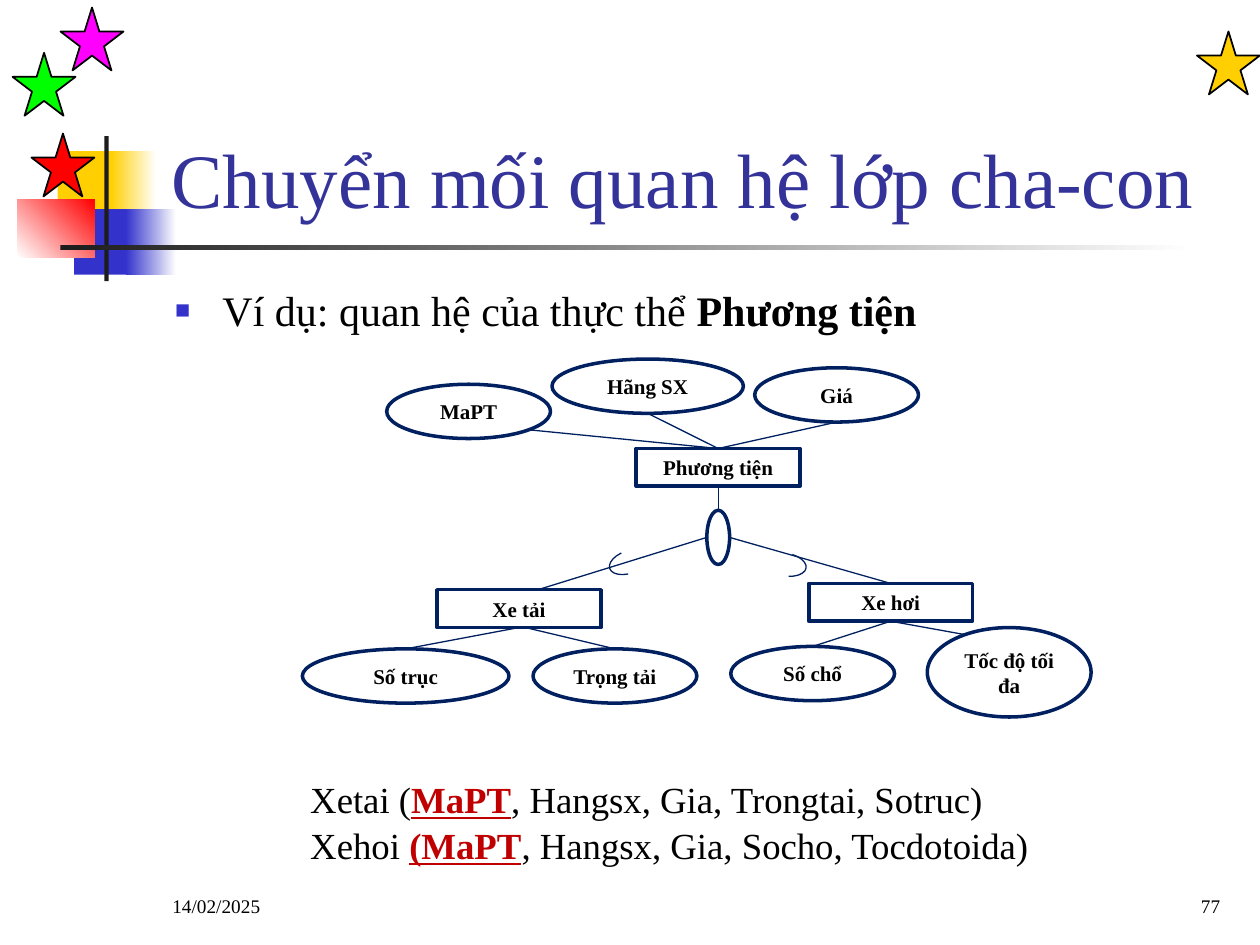
import pptx
import pptx.util
import pptx.dml.color
import pptx.enum.shapes
import pptx.enum.text
import pptx.oxml.ns
import lxml.etree

Pt = pptx.util.Pt
RGB = pptx.dml.color.RGBColor
SHAPE = pptx.enum.shapes.MSO_SHAPE
ANCHOR = pptx.enum.text.MSO_ANCHOR
ALIGN = pptx.enum.text.PP_ALIGN
FIT = pptx.enum.text.MSO_AUTO_SIZE
qn = pptx.oxml.ns.qn

FONT = "Times New Roman"
BLACK = RGB(0x00, 0x00, 0x00)
WHITE = RGB(0xFF, 0xFF, 0xFF)
INK = RGB(0x1C, 0x1C, 0x1C)
GOLD = RGB(0xFF, 0xCF, 0x01)
BLUE = RGB(0x33, 0x33, 0xCC)
RED = RGB(0xFF, 0x00, 0x00)
GREEN = RGB(0x00, 0xFF, 0x00)
MAGENTA = RGB(0xFF, 0x00, 0xFF)
TITLE = RGB(0x33, 0x33, 0x99)
NAVY = RGB(0x00, 0x20, 0x60)
KEY = RGB(0xC0, 0x00, 0x00)
TOP, LEFT, BOTTOM, RIGHT = range(4)


def set_font(font, size, color=BLACK, bold=None):
    font.name, font.size, font.bold = FONT, Pt(size), bold
    font.color.rgb = color


def add_shape(shapes, kind, x, y, w, h, fill=None, line=None, weight=1):
    sp = shapes.add_shape(kind, Pt(x), Pt(y), Pt(w), Pt(h))
    sp.shadow.inherit = False
    if fill is None:
        sp.fill.background()
    else:
        sp.fill.solid()
        sp.fill.fore_color.rgb = fill
    if line is None:
        sp.line.fill.background()
    else:
        sp.line.color.rgb = line
        sp.line.width = Pt(weight)
    return sp


def add_fade(shapes, x, y, w, h, start, end, angle=0):
    sp = add_shape(shapes, SHAPE.RECTANGLE, x, y, w, h)
    sp.fill.gradient()
    sp.fill.gradient_angle = angle
    for stop, color in zip(sp.fill.gradient_stops, (start, end)):
        stop.color.rgb = color


def add_ornament(shapes, x, y):
    add_shape(shapes, SHAPE.RECTANGLE, x + 23, y + 8.6, 34.5, 37.4, GOLD)
    add_fade(shapes, x + 53.3, y + 8.6, 26, 37.4, GOLD, WHITE)
    add_shape(shapes, SHAPE.RECTANGLE, x + 32.4, y + 41.7, 33, 37.4, BLUE)
    add_fade(shapes, x + 62, y + 41.7, 28.8, 37.4, BLUE, WHITE)
    add_fade(shapes, x, y + 36, 44, 33.2, WHITE, RED, 45)
    add_shape(shapes, SHAPE.RECTANGLE, x + 49.7, y, 2.4, 82.8, INK)
    add_fade(shapes, x + 24.5, y + 62.4, 648, 2.5, INK, WHITE)


def add_stars(shapes, x, y):
    for dx, dy, color in ((684, 18, GOLD), (18, 76.3, RED),
                          (7.2, 30.2, GREEN), (34.6, 4.3, MAGENTA)):
        add_shape(shapes, SHAPE.STAR_5_POINT, x + dx, y + dy, 36, 36, color, BLACK)


def place(sp, x, y, w, h, anchor):
    sp.left, sp.top, sp.width, sp.height = Pt(x), Pt(y), Pt(w), Pt(h)
    tf = sp.text_frame
    tf.word_wrap = True
    tf.auto_size = FIT.NONE
    tf.vertical_anchor = anchor
    return tf


def fill_title(sp, x, y, w, h):
    p = place(sp, x, y, w, h, ANCHOR.BOTTOM).paragraphs[0]
    p.text = "Chuyển mối quan hệ lớp cha-con"
    p.alignment = ALIGN.LEFT
    set_font(p.font, 44, TITLE)


def fill_body(sp, x, y, w, h):
    p = place(sp, x, y, w, h, ANCHOR.TOP).paragraphs[0]
    set_font(p.font, 24)
    p.add_run().text = "Ví dụ: quan hệ của thực thể "
    r = p.add_run()
    r.text = "Phương tiện"
    r.font.bold = True
    pPr = p._p.get_or_add_pPr()
    pPr.set("marL", str(Pt(27)))
    pPr.set("indent", str(Pt(-27)))
    bullet = [lxml.etree.Element(qn("a:" + tag)) for tag in ("buClr", "buSzPct", "buFont", "buChar")]
    lxml.etree.SubElement(bullet[0], qn("a:srgbClr")).set("val", str(BLUE))
    bullet[1].set("val", "60000")
    bullet[2].set("typeface", FONT)
    bullet[3].set("char", "■")
    for i, el in enumerate(bullet):
        pPr.insert(i, el)


def add_footer(shapes, x, y, w, h, text, align):
    sp = shapes.add_textbox(Pt(x), Pt(y), Pt(w), Pt(h))
    p = place(sp, x, y, w, h, ANCHOR.BOTTOM).paragraphs[0]
    p.text = text
    p.alignment = align
    set_font(p.font, 11)


def add_relations(shapes, x, y, w, h):
    sp = shapes.add_textbox(Pt(x), Pt(y), Pt(w), Pt(h))
    tf = place(sp, x, y, w, h, ANCHOR.TOP)
    tf.auto_size = FIT.SHAPE_TO_FIT_TEXT
    rows = (("Xetai (", "MaPT", ", Hangsx, Gia, Trongtai, Sotruc)"),
            ("Xehoi ", "(MaPT", ", Hangsx, Gia, Socho, Tocdotoida)"))
    for i, row in enumerate(rows):
        p = tf.add_paragraph() if i else tf.paragraphs[0]
        p.level = 1
        p.space_before = Pt(1)
        p._p.get_or_add_pPr().set("marL", str(Pt(24)))
        set_font(p.font, 21)
        for text in row:
            r = p.add_run()
            r.text = text
            if text == row[1]:
                r.font.bold = r.font.underline = True
                r.font.color.rgb = KEY


def add_node(shapes, kind, x, y, w, h, text=None):
    sp = add_shape(shapes, kind, x, y, w, h, WHITE, NAVY, 2)
    if text:
        tf = sp.text_frame
        tf.word_wrap = True
        tf.auto_size = FIT.SHAPE_TO_FIT_TEXT
        tf.vertical_anchor = ANCHOR.MIDDLE
        p = tf.paragraphs[0]
        p.text = text
        p.alignment = ALIGN.CENTER
        set_font(p.font, 12, BLACK, True)
    return sp


def side_point(sp, side):
    cx, cy = sp.left + sp.width // 2, sp.top + sp.height // 2
    return ((cx, sp.top), (sp.left, cy), (cx, sp.top + sp.height), (sp.left + sp.width, cy))[side]


def add_diagram(shapes, x, y):
    g = shapes.add_group_shape().shapes
    entities = {"Phương tiện": (190.8, 51.1), "Xe hơi": (289.4, 128.2), "Xe tải": (77, 131.8)}
    attributes = {"MaPT": (48.2, 14.4, 93.6), "Hãng SX": (142.6, 0, 109.4), "Giá": (258.5, 5, 93.6),
                  "Trọng tải": (131.8, 165.6, 93.6), "Số trục": (0, 165.6, 118.1),
                  "Số chổ": (244.8, 164.2, 93.6)}
    nodes = {"": add_node(g, SHAPE.OVAL, x + 231.1, y + 86.4, 13, 31)}
    for text, (dx, dy) in entities.items():
        nodes[text] = add_node(g, SHAPE.RECTANGLE, x + dx, y + dy, 93.6, 21.6, text)
    for text, (dx, dy, w) in attributes.items():
        nodes[text] = add_node(g, SHAPE.OVAL, x + dx, y + dy, w, 31, text)
    for dx, dy, turn in ((264.2, 110.9, 9.6), (175, 109.4, 161.6)):
        arc = add_shape(g, SHAPE.ARC, x + dx, y + dy, 23.8, 13, None, NAVY, 0.75)
        arc.adjustments[0], arc.adjustments[1] = 176.69, 39.52
        arc.rotation = turn

    parent, car, truck = "Phương tiện", "Xe hơi", "Xe tải"
    links = (((parent, BOTTOM), ("", TOP)), (("", LEFT), (134.6, 131.8)), (("", RIGHT), (car, TOP)),
             ((parent, TOP), (128.2, 40.3)), ((parent, TOP), ("Hãng SX", BOTTOM)),
             ((parent, TOP), ("Giá", BOTTOM)), ((127.4, 153.4), ("Trọng tải", TOP)),
             ((truck, BOTTOM), ("Số trục", TOP)), ((car, BOTTOM), ("Số chổ", TOP)),
             ((car, BOTTOM), (403.9, 162)))
    for link in links:
        points = [side_point(nodes[a], b) if a in nodes else (Pt(x + a), Pt(y + b)) for a, b in link]
        c = g.add_connector(pptx.enum.shapes.MSO_CONNECTOR.STRAIGHT, *points[0], *points[1])
        c.line.color.rgb = NAVY
        c.line.width = Pt(0.75)
        lxml.etree.SubElement(c._element.spPr, qn("a:effectLst"))
        for (name, side), connect in zip(link, (c.begin_connect, c.end_connect)):
            if name in entities or (name in nodes and side == TOP):
                connect(nodes[name], side)
    add_node(g, SHAPE.OVAL, x + 357.1, y + 153.4, 93.6, 51.1, "Tốc độ tối đa")


def main():
    prs = pptx.Presentation()
    prs.slide_width, prs.slide_height = Pt(720), Pt(540)
    s = prs.slides.add_slide(prs.slide_layouts[1])
    add_ornament(s.shapes, 10, 77.8)
    add_stars(s.shapes, 0, 0)
    fill_title(s.shapes.title, 90.7, 16.6, 613.4, 115.2)
    fill_body(s.placeholders[1], 92.9, 159.1, 612, 324)
    add_footer(s.shapes, 91.4, 491.8, 150, 36, "14/02/2025", ALIGN.LEFT)
    add_footer(s.shapes, 554.4, 491.8, 150, 36, "77", ALIGN.RIGHT)
    add_diagram(s.shapes, 172.8, 205.2)
    add_relations(s.shapes, 146.2, 440.6, 501.8, 58.3)
    prs.save("out.pptx")


if __name__ == "__main__":
    main()
